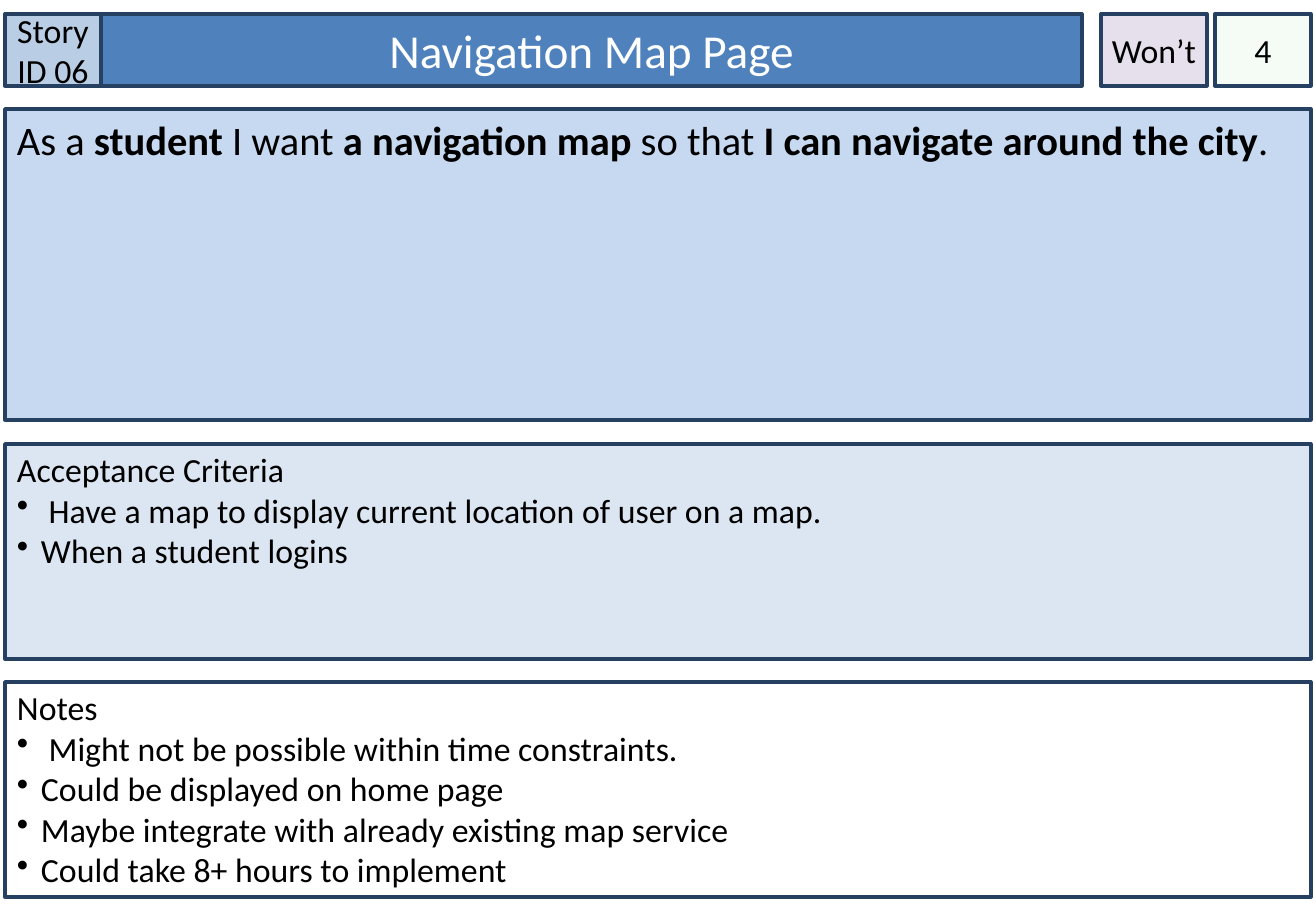
from dataclasses import dataclass

from lxml.etree import SubElement
from pptx import Presentation
from pptx.dml.color import RGBColor as Rgb
from pptx.enum.shapes import MSO_SHAPE as Geo
from pptx.enum.text import MSO_ANCHOR as Anchor, MSO_AUTO_SIZE as Fit, PP_ALIGN as Align
from pptx.oxml.ns import qn
from pptx.util import Pt

SCALE = 914400 / 121.5


@dataclass(frozen=True)
class Theme:
    """Colours, font and type sizes of the story card."""
    font: str = "Calibri"
    edge: str = "254061"
    ink: str = "000000"
    white: str = "FFFFFF"
    title: str = "4F81BD"
    tag: str = "B9CDE5"
    rank: str = "E6E0EC"
    score: str = "CCF0CD"
    story: str = "C6D9F1"
    tests: str = "DCE6F2"
    head: int = 28
    lead: int = 24
    body: int = 20
    rule: int = 2


THEME = Theme()


def px(num):
    """Turn pixels into EMU."""
    return round(num * SCALE)


def paint(shape, fill, alpha=None):
    """Give a shape its fill and the common edge."""
    shape.fill.solid()
    shape.fill.fore_color.rgb = Rgb.from_string(fill)
    if alpha is not None:
        color = shape.fill._xPr.find(qn("a:solidFill"))[0]
        SubElement(color, qn("a:alpha")).set("val", str(alpha * 1000))
    shape.line.color.rgb = Rgb.from_string(THEME.edge)
    shape.line.width = Pt(THEME.rule)


def panel(slide, box, fill, alpha=None):
    """Add a filled, edged rectangle."""
    shape = slide.shapes.add_shape(Geo.RECTANGLE, *map(px, box))
    shape.shadow.inherit = False
    paint(shape, fill, alpha)
    return shape


def bullet(para):
    """Hang a round bullet on a paragraph."""
    props = para._p.get_or_add_pPr()
    props.set("marL", str(px(24)))
    props.set("indent", str(-px(24)))
    SubElement(props, qn("a:buChar")).set("char", "•")


def write(shape, text, *, size=THEME.body, color=THEME.ink, align=Align.LEFT,
          anchor=Anchor.TOP, inset=(12, 6, 12, 6), wrap=True, items=()):
    """Write a line, with **bold** parts, and then bulleted items."""
    frame = shape.text_frame
    frame.auto_size, frame.word_wrap = Fit.NONE, wrap
    frame.vertical_anchor = anchor
    (frame.margin_left, frame.margin_top,
     frame.margin_right, frame.margin_bottom) = map(px, inset)
    for row, line in enumerate([text, *items]):
        para = frame.add_paragraph() if row else frame.paragraphs[0]
        para.alignment = align
        if row:
            bullet(para)
        for part, words in enumerate(line.split("**")):
            run = para.add_run()
            run.text = words
            font = run.font
            font.name, font.size, font.bold = THEME.font, Pt(size), part % 2 == 1
            font.color.rgb = Rgb.from_string(color)


def header(slide, box, tag, title, rank, score):
    """Place the story tag, title, priority and score in one row."""
    left, top, wide, high = box
    side, label, gap = 96, 106, 8
    last = left + wide - side
    mid = last - gap - label
    name = slide.shapes.title
    name.left, name.top = px(left + side), px(top)
    name.width, name.height = px(981), px(high)
    paint(name, THEME.title)
    write(name, title, size=THEME.head, color=THEME.white,
          align=Align.CENTER, anchor=Anchor.MIDDLE)
    for text, x, width, fill, alpha, wrap in (
            (tag, left, side, THEME.tag, None, True),
            (score, last, side, THEME.score, 20, True),
            (rank, mid, label, THEME.rank, None, False)):
        write(panel(slide, (x, top, width, high), fill, alpha), text, wrap=wrap,
              align=Align.CENTER, anchor=Anchor.MIDDLE, inset=(0, 6, 0, 6))


def story(slide, box, text):
    """Place the user story."""
    write(panel(slide, box, THEME.story), text, size=THEME.lead)


def listing(slide, box, fill, head, items):
    """Place a headed list of bullets."""
    write(panel(slide, box, fill), head, items=items, inset=(12, 5, 12, 6))


def main():
    """Build the story card and save it."""
    deck = Presentation()
    deck.slide_width, deck.slide_height = px(1316), px(911)
    slide = deck.slides.add_slide(deck.slide_layouts[5])
    left, wide = 5, 1306
    header(slide, (left, 14, wide, 72),
           "Story ID 06", "Navigation Map Page", "Won’t", "4")
    story(slide, (left, 109, wide, 311),
          "As a **student** I want **a navigation map **so that "
          "**I can navigate around the city**.")
    listing(slide, (left, 444, wide, 215), THEME.tests, "Acceptance Criteria",
            [" Have a map to display current location of user on a map.",
             "When a student logins"])
    listing(slide, (left, 682, wide, 215), THEME.white, "Notes",
            [" Might not be possible within time constraints.",
             "Could be displayed on home page",
             "Maybe integrate with already existing map service",
             "Could take 8+ hours to implement"])
    deck.save("out.pptx")


main()
